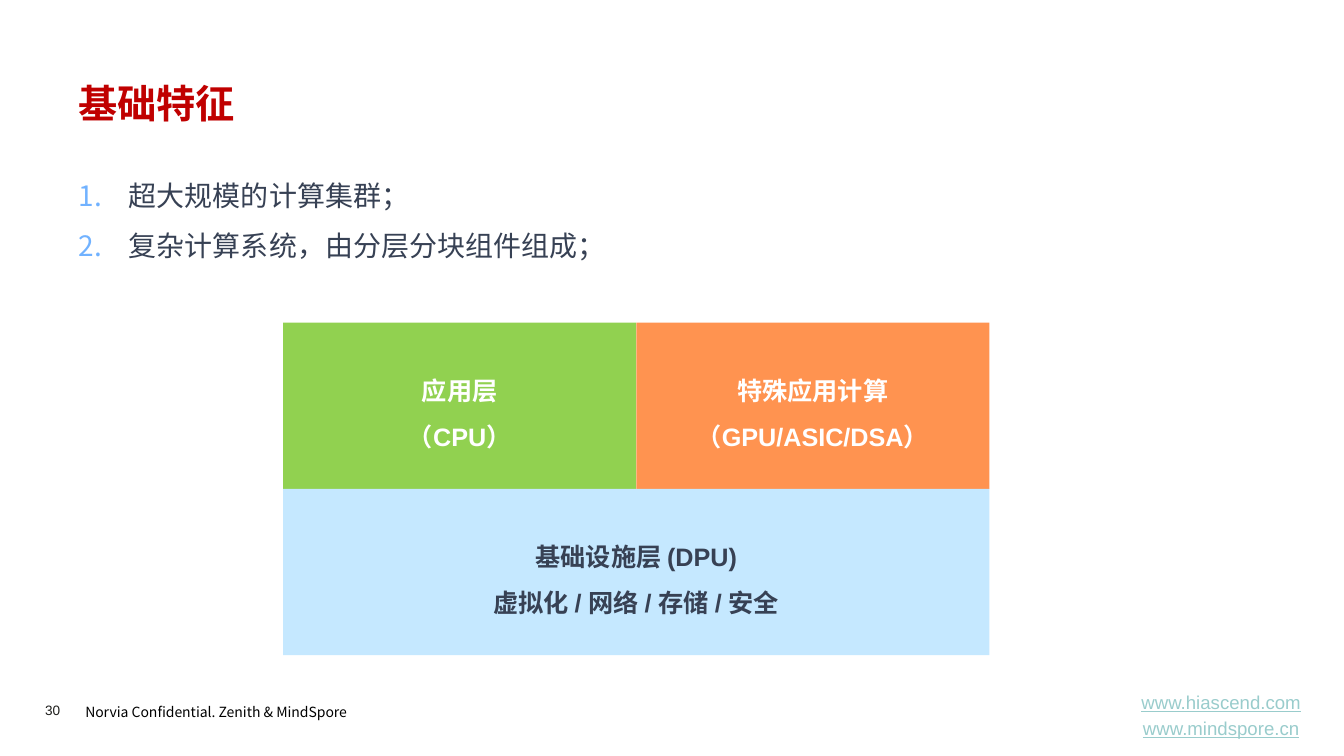
from lxml import etree
from pptx import Presentation
from pptx import util as u
from pptx.dml.color import RGBColor
from pptx.enum import shapes, text
from pptx.oxml.ns import qn

COLORS = {
    "title": "C00000", "body": "374154", "number": "71B2FF", "white": "FFFFFF",
    "application": "91D150", "special": "FF9350", "infrastructure": "C5E8FF",
    "footer": "000000", "page": "1D1D1B", "link": "99CCCC",
}
CJK_FONT = "Noto Sans CJK SC"


def number_paragraph(paragraph, indent):
    """Give a paragraph a coloured automatic number and a hanging indent."""
    properties = paragraph._p.get_or_add_pPr()
    properties.set("marL", str(indent))
    properties.set("indent", str(-indent))
    color = etree.SubElement(properties, qn("a:buClr"))
    etree.SubElement(color, qn("a:srgbClr"), val=COLORS["number"])
    etree.SubElement(properties, qn("a:buFont"), typeface=CJK_FONT)
    etree.SubElement(properties, qn("a:buAutoNum"), type="arabicPeriod")


def write_text(shape, lines, size, color, font="Arial", bold=False, underline=False,
               align="LEFT", anchor="TOP", spacing=1.0, gap=0, inset=None, numbered=False):
    """Write lines as the formatted paragraphs of a shape."""
    frame = shape.text_frame
    frame.word_wrap = True
    frame.vertical_anchor = getattr(text.MSO_ANCHOR, anchor)
    if inset is not None:
        frame.margin_left = frame.margin_right = u.Cm(inset)
        frame.margin_top = frame.margin_bottom = u.Cm(inset)
    for index, line in enumerate(lines):
        paragraph = frame.add_paragraph() if index else frame.paragraphs[0]
        paragraph.alignment = getattr(text.PP_ALIGN, align)
        paragraph.line_spacing = spacing
        if index and gap:
            paragraph.space_before = u.Pt(gap)
        if numbered:
            number_paragraph(paragraph, u.Cm(1.27))
        run = paragraph.add_run()
        run.text = line
        run.font.size = u.Pt(size)
        run.font.bold = bold
        run.font.underline = underline
        run.font.color.rgb = RGBColor.from_string(COLORS[color])
        run.font.name = font
        etree.SubElement(run._r.get_or_add_rPr(), qn("a:ea"), typeface=CJK_FONT)


def add_text(slide, box, lines, **text_format):
    """Place a text box in a box given in centimetres."""
    shape = slide.shapes.add_textbox(*map(u.Cm, box))
    write_text(shape, lines, **text_format)


def add_heading(slide, box):
    """Place the title and the numbered points below it."""
    left, top, width, height = box
    add_text(slide, (left, top, width, 1.63), ["基础特征"],
             size=28, color="title", font="Quicksand", bold=True)
    add_text(slide, (left, top + 2.06, width, height - 2.06),
             ["超大规模的计算集群；", "复杂计算系统，由分层分块组件组成；"],
             size=20, color="body", font=CJK_FONT, spacing=1.5, numbered=True)


def add_layers(slide, box):
    """Place two upper blocks over one full-width block."""
    left, top, width, height = box
    half, row = width / 2, height / 2
    blocks = [
        (0, 0, half, "application", "white", ["应用层", "（CPU）"]),
        (half, 0, half, "special", "white", ["特殊应用计算", "（GPU/ASIC/DSA）"]),
        (0, row, width, "infrastructure", "body",
         ["基础设施层 (DPU)", "虚拟化 / 网络 / 存储 / 安全"]),
    ]
    group = slide.shapes.add_group_shape()
    for across, down, block_width, fill, color, lines in blocks:
        shape = group.shapes.add_shape(
            shapes.MSO_SHAPE.RECTANGLE, u.Cm(left + across), u.Cm(top + down),
            u.Cm(block_width), u.Cm(row))
        shape.shadow.inherit = False
        shape.fill.solid()
        shape.fill.fore_color.rgb = RGBColor.from_string(COLORS[fill])
        shape.line.fill.background()
        write_text(shape, lines, size=18, color=color, bold=True,
                   align="CENTER", anchor="MIDDLE", spacing=1.5)


def add_footer(slide, box):
    """Place the page number, the notice and the web addresses."""
    left, top, width, height = box
    add_text(slide, (left, top + 0.2, 1.4, 0.41), ["30"],
             size=9.7, color="page", inset=0)
    add_text(slide, (left + 0.76, top + 0.05, 7.95, 0.74),
             ["Norvia Confidential. Zenith & MindSpore"],
             size=10, color="footer", font=CJK_FONT, spacing=1.2)
    add_text(slide, (left + width - 5.49, top, 5.49, height),
             ["www.hiascend.com", "www.mindspore.cn"], size=13.3, color="link",
             underline=True, align="CENTER", anchor="MIDDLE", gap=2.7)


def main():
    """Build the slide and save it."""
    presentation = Presentation()
    presentation.slide_width, presentation.slide_height = u.Cm(33.88), u.Cm(19.05)
    slide = presentation.slides.add_slide(presentation.slide_layouts[6])
    add_footer(slide, (1.14, 17.48, 32.39, 1.09))
    add_heading(slide, (1.73, 1.88, 30.45, 4.85))
    add_layers(slide, (7.14, 8.13, 17.8, 8.38))
    presentation.save("out.pptx")


if __name__ == "__main__":
    main()
